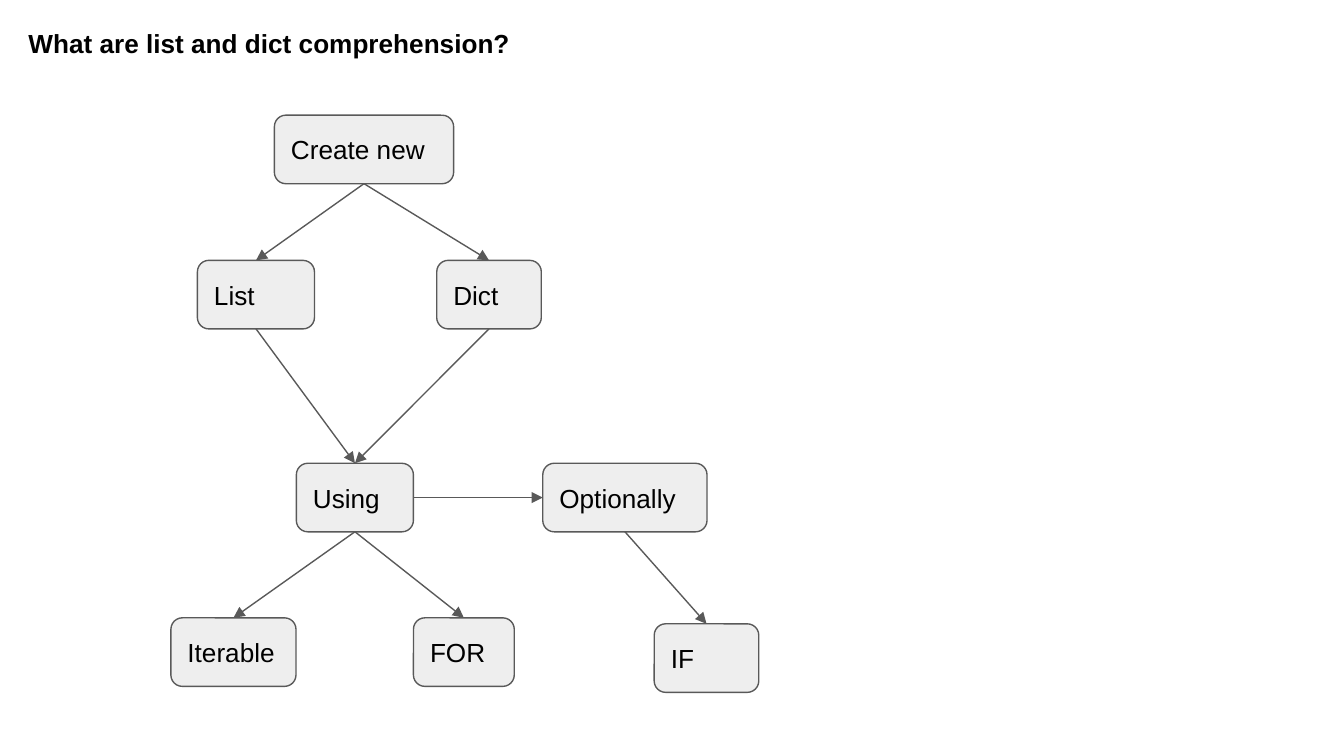
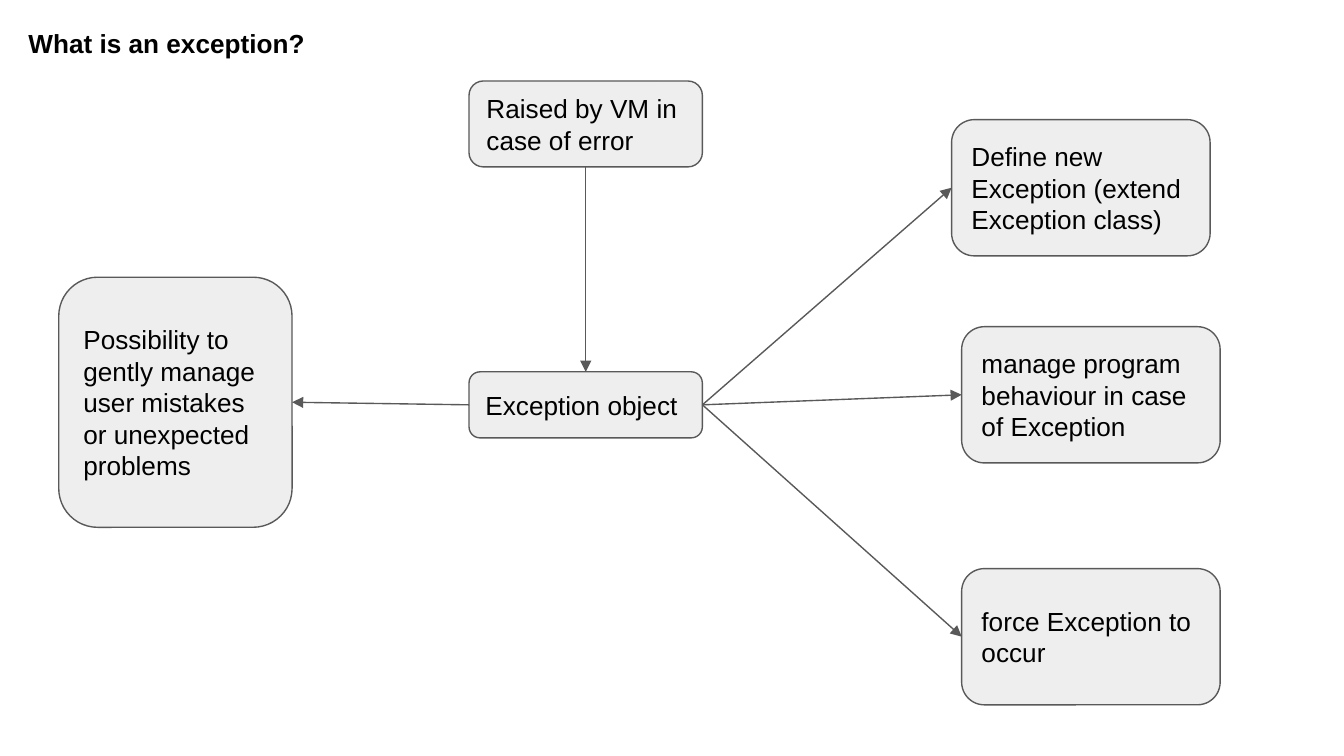
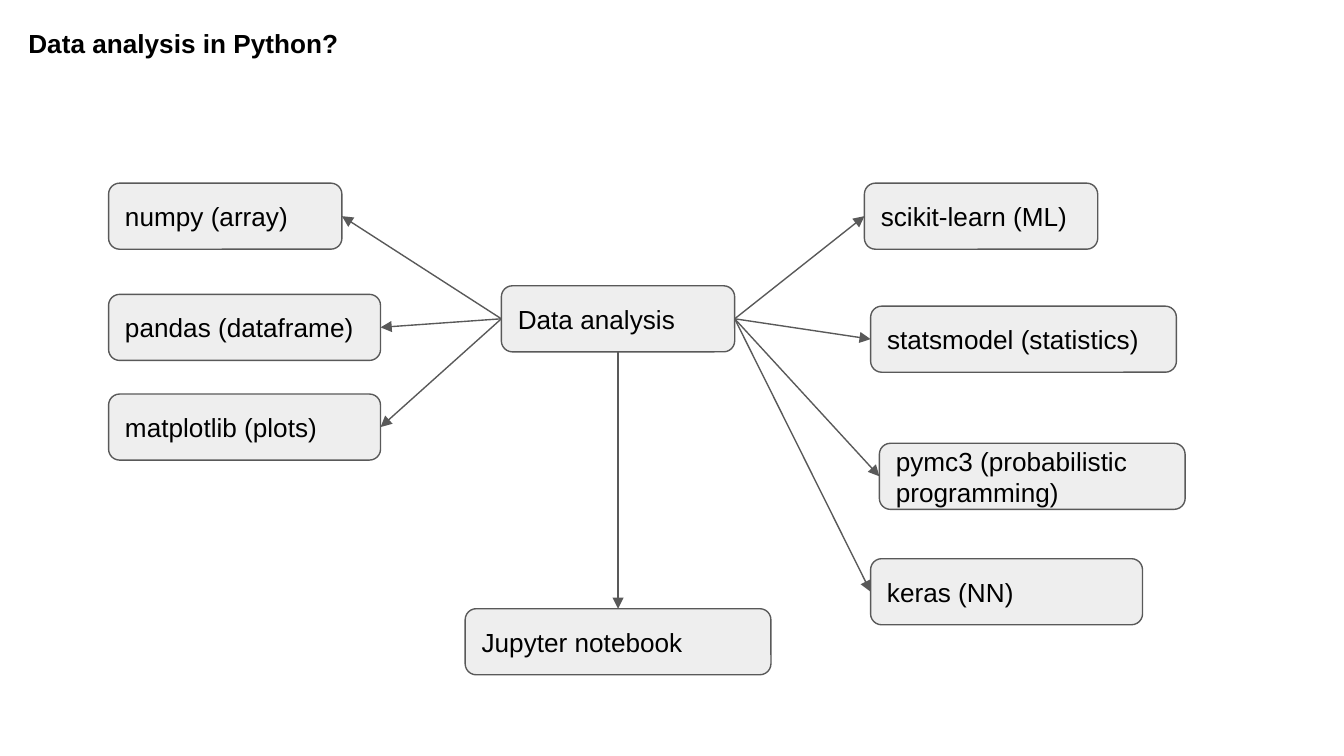
from lxml import etree
from pptx import Presentation
from pptx.dml.color import RGBColor
from pptx.enum.shapes import MSO_CONNECTOR, MSO_SHAPE
from pptx.enum.text import MSO_ANCHOR, MSO_AUTO_SIZE, PP_ALIGN
from pptx.oxml.ns import qn
from pptx.util import Pt

ROUND = MSO_SHAPE.ROUNDED_RECTANGLE
STRAIGHT = MSO_CONNECTOR.STRAIGHT
TOP, MIDDLE = MSO_ANCHOR.TOP, MSO_ANCHOR.MIDDLE
LEFT = PP_ALIGN.LEFT
FIXED = MSO_AUTO_SIZE.NONE
SIDES = {"top": 0, "left": 1, "bottom": 2, "right": 3}

INK, GREY, PALE = "000000", "595959", "EEEEEE"
INSET = Pt(7.2)
FRAME = {
    "word_wrap": True,
    "auto_size": FIXED,
    "margin_left": INSET,
    "margin_right": INSET,
    "margin_top": INSET,
    "margin_bottom": INSET,
}
FONT = {"name": "Arial", "size": Pt(14)}

COMP = {
    "title": ("What are list and dict comprehension?", 274),
    "boxes": {
        "new": ("Create new", 147, 61.7, 96, 36.7),
        "list": ("List", 105.8, 139.5, 62.7, 36.7),
        "dict": ("Dict", 234, 139.5, 56, 36.7),
        "using": ("Using", 158.8, 248.2, 62.7, 36.7),
        "opt": ("Optionally", 290.8, 248.2, 88, 36.7),
        "iter": ("Iterable", 91.6, 331, 67, 36.7),
        "for": ("FOR", 221.5, 331, 54, 36.7),
        "if": ("IF", 350.5, 334.2, 56, 36.7),
    },
    "links": [
        ("new", "bottom", "top", ["list", "dict"]),
        ("list", "bottom", "top", ["using"]),
        ("dict", "bottom", "top", ["using"]),
        ("using", "bottom", "top", ["iter", "for"]),
        ("using", "right", "left", ["opt"]),
        ("opt", "bottom", "top", ["if"]),
    ],
}

ERROR = {
    "title": ("What is an exception?", 274),
    "boxes": {
        "core": ("Exception object", 251.3, 199.2, 125, 35.4),
        "raised": ("Raised by VM in case of error", 251.3, 43.4, 125, 46),
        "define": ("Define new Exception (extend Exception class)",
                   509.8, 64.1, 138.5, 73),
        "manage": ("manage program behaviour in case of Exception",
                   515.2, 175, 138.5, 73),
        "force": ("force Exception to occur", 515.2, 304.6, 138.5, 73),
        "user": ("Possibility to gently manage user mistakes "
                 "or unexpected problems", 31.5, 148.5, 125, 134),
    },
    "links": [
        ("raised", "bottom", "top", ["core"]),
        ("core", "right", "left", ["define", "manage", "force"]),
        ("core", "left", "right", ["user"]),
    ],
}

DATA = {
    "title": ("Data analysis in Python?", 373),
    "boxes": {
        "core": ("Data analysis", 268.6, 153.1, 125, 35.4),
        "numpy": ("numpy (array)", 58.2, 98.1, 125, 35.4),
        "pandas": ("pandas (dataframe)", 58.2, 157.7, 145.7, 35.4),
        "plots": ("matplotlib (plots)", 58.2, 211.1, 145.7, 35.4),
        "learn": ("scikit-learn (ML)", 463.1, 98.1, 125, 35.4),
        "stats": ("statsmodel (statistics)", 466.4, 164, 163.8, 35.4),
        "prob": ("pymc3 (probabilistic programming)",
                 471.1, 237.5, 163.8, 35.4),
        "keras": ("keras (NN)", 466.4, 299.3, 145.7, 35.4),
        "book": ("Jupyter notebook", 249.2, 326.1, 163.8, 35.4),
    },
    "links": [
        ("core", "left", "right", ["numpy", "pandas", "plots"]),
        ("core", "right", "left", ["learn", "stats", "prob", "keras"]),
        ("core", "bottom", "top", ["book"]),
    ],
}


def tint(code):
    """Turn a hex string into a colour."""
    return RGBColor.from_string(code)


def apply(item, looks):
    """Set each named attribute on the item."""
    for name, value in looks.items():
        setattr(item, name, value)


def write(shape, text, anchor, bold):
    """Put one styled paragraph into the shape."""
    frame = shape.text_frame
    apply(frame, {**FRAME, "vertical_anchor": anchor})
    para = frame.paragraphs[0]
    para.alignment = LEFT
    run = para.add_run()
    run.text = text
    apply(run.font, {**FONT, "bold": bold})
    run.font.color.rgb = tint(INK)


def head(slide, text, width):
    """Place and fill the slide title."""
    title = slide.shapes.title
    apply(title, {"left": Pt(8), "top": Pt(7.2),
                  "width": Pt(width), "height": Pt(25.2)})
    write(title, text, TOP, True)


def stroke(line):
    """Give a line the shared colour and width."""
    line.color.rgb = tint(GREY)
    line.width = Pt(0.75)


def box(slide, text, *place):
    """Draw a rounded box with its label."""
    shape = slide.shapes.add_shape(ROUND, *map(Pt, place))
    shape.shadow.inherit = False
    shape.fill.solid()
    shape.fill.fore_color.rgb = tint(PALE)
    stroke(shape.line)
    write(shape, text, MIDDLE, False)
    return shape


def arrow(slide, start, out, end, into):
    """Join two boxes with an arrow between the named sides."""
    link = slide.shapes.add_connector(STRAIGHT, 0, 0, 0, 0)
    link.begin_connect(start, SIDES[out])
    link.end_connect(end, SIDES[into])
    stroke(link.line)
    tip = etree.SubElement(link.line._get_or_add_ln(), qn("a:tailEnd"))
    tip.set("type", "triangle")
    etree.SubElement(link._element.spPr, qn("a:effectLst"))


def chart(deck, plan):
    """Add a slide with a title, boxes and arrows."""
    slide = deck.slides.add_slide(deck.slide_layouts[5])
    head(slide, *plan["title"])
    nodes = {key: box(slide, *row) for key, row in plan["boxes"].items()}
    for start, out, into, ends in plan["links"]:
        for end in ends:
            arrow(slide, nodes[start], out, nodes[end], into)


def main():
    """Build and save the deck."""
    deck = Presentation()
    apply(deck, {"slide_width": Pt(720), "slide_height": Pt(405)})
    for plan in (COMP, ERROR, DATA):
        chart(deck, plan)
    deck.save("out.pptx")


if __name__ == "__main__":
    main()
